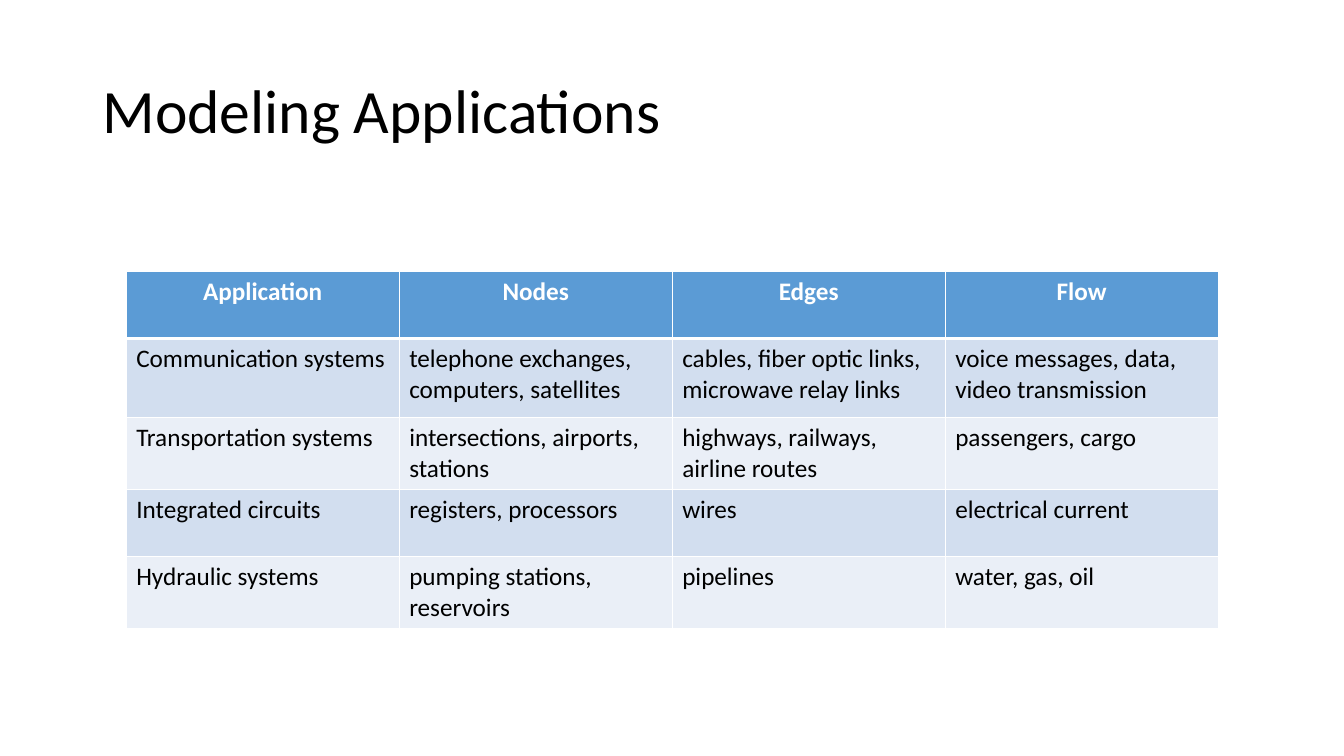
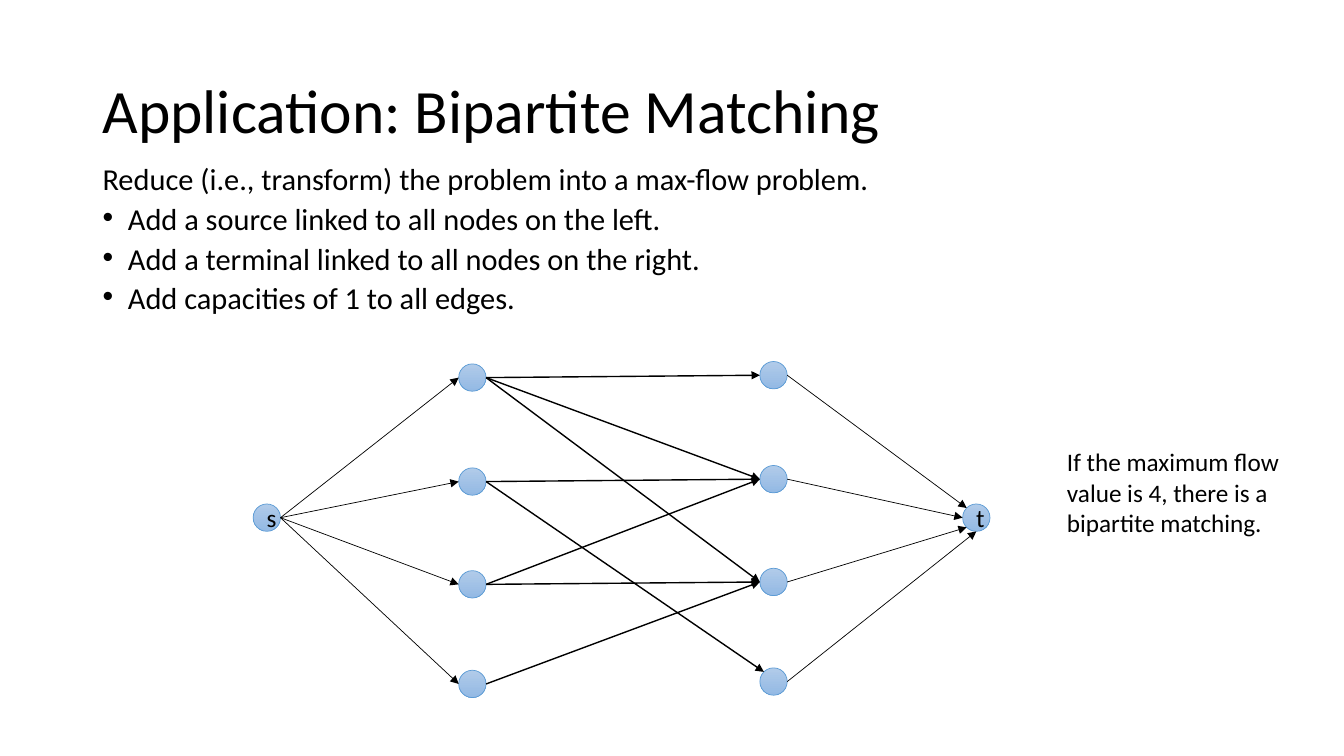
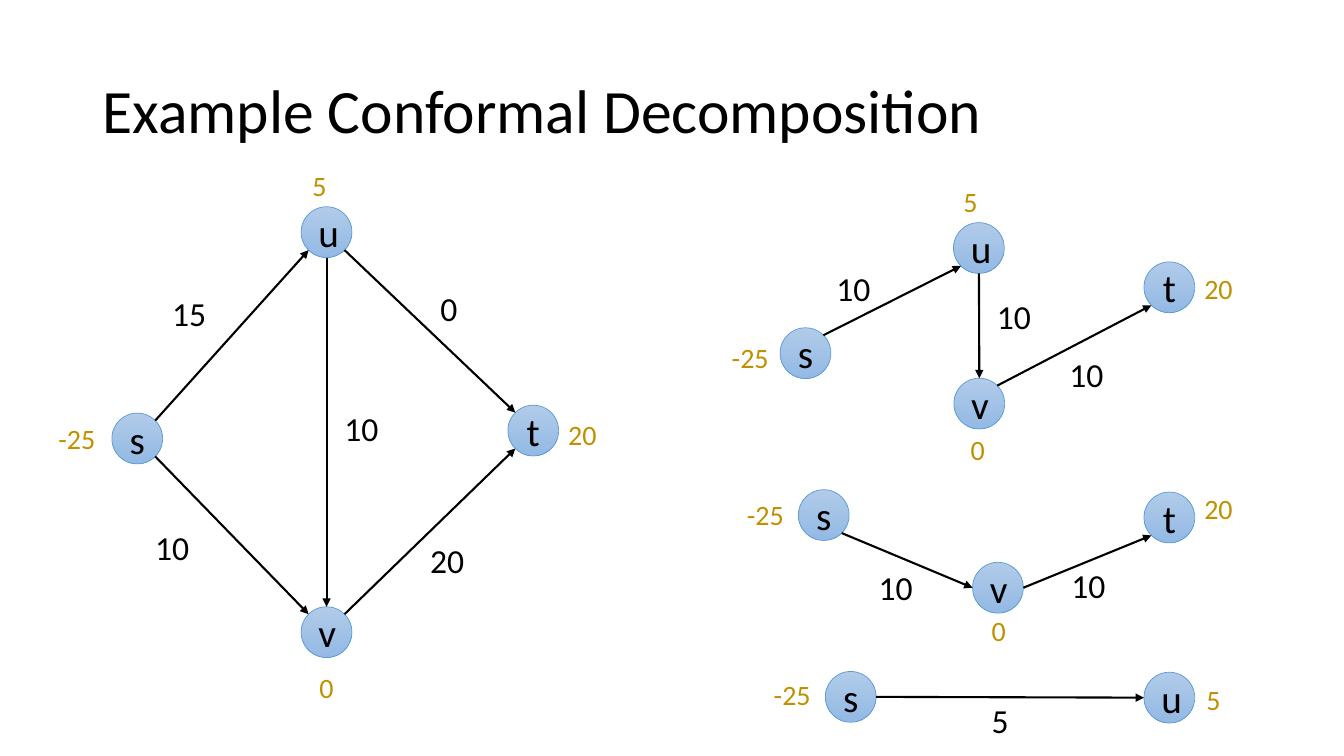
"""Three slides on network flow: applications, bipartite matching and conformal decomposition."""
import math

from lxml import etree
from pptx import Presentation
from pptx.dml.color import RGBColor
from pptx.enum import shapes, text
from pptx.oxml.ns import qn
from pptx.util import Cm, Pt

BLACK = RGBColor(0x00, 0x00, 0x00)
WHITE = RGBColor(0xFF, 0xFF, 0xFF)
BLUE = RGBColor(0x5B, 0x9B, 0xD5)
NODE_TOP = RGBColor(0xB1, 0xCB, 0xE9)
NODE_BOTTOM = RGBColor(0x93, 0xB9, 0xE4)
BANDS = [RGBColor(0xEA, 0xEF, 0xF7), RGBColor(0xD2, 0xDE, 0xEF)]
GOLD = RGBColor(0xBF, 0x90, 0x00)
FONT = "Calibri"
LEFT, CENTER = text.PP_ALIGN.LEFT, text.PP_ALIGN.CENTER


def write(frame, content, size, color=BLACK, bold=False, align=LEFT, spacing=None, before=0):
    """Fill a text frame, one paragraph for each line of the content."""
    frame.text = content
    for paragraph in frame.paragraphs:
        paragraph.alignment = align
        paragraph.line_spacing = spacing
        paragraph.space_before = Pt(before)
        for run in paragraph.runs:
            run.font.name = FONT
            run.font.size = Pt(size)
            run.font.bold = bold
            run.font.color.rgb = color


def draw_arrow(slide, start, start_site, end, end_site, weight):
    """Join two round nodes; sites count counterclockwise from the top in steps of 45 degrees."""
    points = []
    for node, site in ((start, start_site), (end, end_site)):
        angle = math.radians(90 + 45 * site)
        radius = node.width / 2
        points.append(round(node.left + radius + radius * math.cos(angle)))
        points.append(round(node.top + radius - radius * math.sin(angle)))
    arrow = slide.shapes.add_connector(shapes.MSO_CONNECTOR.STRAIGHT, *points)
    arrow.line.color.rgb = BLACK
    arrow.line.width = Pt(weight)
    properties = arrow._element.spPr
    etree.SubElement(properties.find(qn("a:ln")), qn("a:tailEnd"), type="triangle")
    etree.SubElement(properties, qn("a:effectLst"))
    links = arrow._element.find(".//" + qn("p:cNvCxnSpPr"))
    for tag, node, site in (("a:stCxn", start, start_site), ("a:endCxn", end, end_site)):
        etree.SubElement(links, qn(tag), id=str(node.shape_id), idx=str(site))


presentation = Presentation()
presentation.slide_width, presentation.slide_height = Cm(33.87), Cm(19.05)

slides = []
for layout, heading in (
    (5, "Modeling Applications"),
    (1, "Application: Bipartite Matching"),
    (5, "Example Conformal Decomposition"),
):
    slide = presentation.slides.add_slide(presentation.slide_layouts[layout])
    title = slide.shapes.title
    title.left, title.top, title.width, title.height = Cm(2.33), Cm(1.01), Cm(29.21), Cm(3.68)
    write(title.text_frame, heading, 44, spacing=0.9)
    title.text_frame.vertical_anchor = text.MSO_ANCHOR.MIDDLE
    title.text_frame.auto_size = text.MSO_AUTO_SIZE.NONE
    slides.append(slide)
applications, matching, decomposition = slides

rows = [
    ("Application", "Nodes", "Edges", "Flow"),
    ("Communication systems", "telephone exchanges, computers, satellites",
     "cables, fiber optic links, microwave relay links", "voice messages, data, video transmission"),
    ("Transportation systems", "intersections, airports, stations",
     "highways, railways, airline routes", "passengers, cargo"),
    ("Integrated circuits", "registers, processors", "wires", "electrical current"),
    ("Hydraulic systems", "pumping stations, reservoirs", "pipelines", "water, gas, oil"),
]
row_heights = [1.7, 1.99, 1.75, 1.7, 1.75]
table = applications.shapes.add_table(
    len(rows), 4, Cm(3.18), Cm(6.83), Cm(27.52), Cm(sum(row_heights))).table
for column in table.columns:
    column.width = Cm(6.88)
for row, (values, height) in enumerate(zip(rows, row_heights)):
    table.rows[row].height = Cm(height)
    header = row == 0
    for column, value in enumerate(values):
        cell = table.cell(row, column)
        write(cell.text_frame, value, 18, color=WHITE if header else BLACK,
              bold=header, align=CENTER if header else LEFT)
        borders = {"a:lnL": 1, "a:lnR": 1, "a:lnT": 3 if row == 1 else 1, "a:lnB": 3 if header else 1}
        for tag, weight in borders.items():
            border = etree.SubElement(cell._tc.get_or_add_tcPr(), qn(tag), w=str(Pt(weight)))
            fill = etree.SubElement(border, qn("a:solidFill"))
            etree.SubElement(fill, qn("a:srgbClr"), val=str(WHITE))
        cell.fill.solid()
        cell.fill.fore_color.rgb = BLUE if header else BANDS[row % 2]

body = matching.placeholders[1]
body.left, body.top, body.width, body.height = Cm(2.33), Cm(4.17), Cm(29.21), Cm(4.06)
body.text_frame.auto_size = text.MSO_AUTO_SIZE.NONE
write(body.text_frame, "Reduce (i.e., transform) the problem into a max-flow problem.\n"
      "Add a source linked to all nodes on the left.\n"
      "Add a terminal linked to all nodes on the right.\n"
      "Add capacities of 1 to all edges.", 21.7, spacing=0.7, before=10)
for index, paragraph in enumerate(body.text_frame.paragraphs):
    indent = Cm(0.64) if index else 0
    properties = paragraph._p.get_or_add_pPr()
    properties.set("marL", str(indent))
    properties.set("indent", str(-indent))
    if index:
        etree.SubElement(properties, qn("a:buFont"), typeface="Arial")
        etree.SubElement(properties, qn("a:buChar"), char="•")
    else:
        etree.SubElement(properties, qn("a:buNone"))

note = matching.shapes.add_textbox(Cm(26.64), Cm(11.13), Cm(6.45), Cm(2.57))
note.text_frame.word_wrap = True
write(note.text_frame, "If the maximum flow value is 4, there is a bipartite matching.", 18)

matching_nodes = {"s": (6.38, 12.7), "t": (24.26, 12.7)}
matching_edges = []
for index, top in enumerate((9.17, 11.79, 14.38, 16.89)):
    matching_nodes[f"left {index}"] = (11.56, top)
    matching_nodes[f"right {index}"] = (19.15, top - 0.06)
    matching_edges.append(("s", 6, f"left {index}", 2, 0.5))
    matching_edges.append((f"right {index}", 6, "t", index + 1, 0.5))
for left, right in ((0, 0), (0, 1), (0, 2), (1, 1), (1, 3), (2, 1), (2, 2), (3, 2)):
    matching_edges.append((f"left {left}", 6, f"right {right}", 1 if right == 3 else 2, 1))

diagrams = [
    (matching, 0.69, 18, matching_nodes, matching_edges),
    (decomposition, 1.28, 28,
     {"s": (2.82, 10.41), "u": (7.59, 5.21), "v": (7.59, 15.29), "t": (12.8, 10.21)},
     [("s", 7, "u", 3, 1.5), ("u", 5, "t", 1, 1.5), ("s", 5, "v", 1, 1.5),
      ("v", 7, "t", 3, 1.5), ("u", 4, "v", 0, 1.5)]),
    (decomposition, 1.28, 28,
     {"s": (19.66, 8.26), "u": (24.03, 5.61), "v": (24.04, 9.53), "t": (28.83, 6.6)},
     [("s", 7, "u", 3, 1.5), ("u", 4, "v", 0, 1.5), ("v", 7, "t", 3, 1.5)]),
    (decomposition, 1.28, 28,
     {"s": (20.12, 12.34), "v": (24.51, 14.17), "t": (28.83, 12.4)},
     [("s", 5, "v", 2, 1.5), ("v", 6, "t", 3, 1.5)]),
    (decomposition, 1.28, 28,
     {"s": (20.8, 16.92), "u": (28.83, 16.94)},
     [("s", 6, "u", 2, 1.5)]),
]
for slide, diameter, size, nodes, edges in diagrams:
    circles = {}
    for name, (left, top) in nodes.items():
        circle = slide.shapes.add_shape(
            shapes.MSO_SHAPE.FLOWCHART_CONNECTOR, Cm(left), Cm(top), Cm(diameter), Cm(diameter))
        circle.shadow.inherit = False
        circle.fill.gradient()
        circle.fill.gradient_angle = 270
        for stop, color in zip(circle.fill.gradient_stops, (NODE_TOP, NODE_BOTTOM)):
            stop.color.rgb = color
        circle.line.color.rgb = BLUE
        circle.line.width = Pt(0.5)
        if name in "stuv":
            write(circle.text_frame, name, size, align=CENTER)
        circles[name] = circle
    for start, start_site, end, end_site, weight in edges:
        draw_arrow(slide, circles[start], start_site, circles[end], end_site, weight)

flows = [
    ("10", 8.43, 10.16), ("15", 4.09, 7.26), ("20", 10.59, 13.49), ("10", 3.66, 13.16),
    ("0", 10.85, 7.14), ("10", 24.87, 7.34), ("10", 20.83, 6.63), ("10", 26.7, 8.79),
    ("10", 21.89, 14.17), ("10", 26.75, 14.12), ("5", 24.74, 17.5),
]
balances = [
    ("20", 14.07, 10.39), ("-25", 1.22, 10.49), ("5", 7.62, 4.11), ("0", 7.8, 16.76),
    ("20", 30.1, 6.71), ("-25", 18.19, 8.46), ("5", 24.03, 4.52), ("0", 24.21, 10.77),
    ("20", 30.1, 12.27), ("-25", 18.57, 12.42), ("0", 24.74, 15.34),
    ("-25", 19.25, 16.94), ("5", 30.15, 17.07),
]
for labels, size, color, height in ((flows, 24, BLACK, 1.28), (balances, 20, GOLD, 1.12)):
    for value, left, top in labels:
        digits = len(value) - 0.4 * value.count("-")
        width = 0.51 + 0.018 * size * digits
        label = decomposition.shapes.add_textbox(Cm(left), Cm(top), Cm(width), Cm(height))
        label.text_frame.word_wrap = False
        write(label.text_frame, value, size, color=color)

presentation.save("out.pptx")
